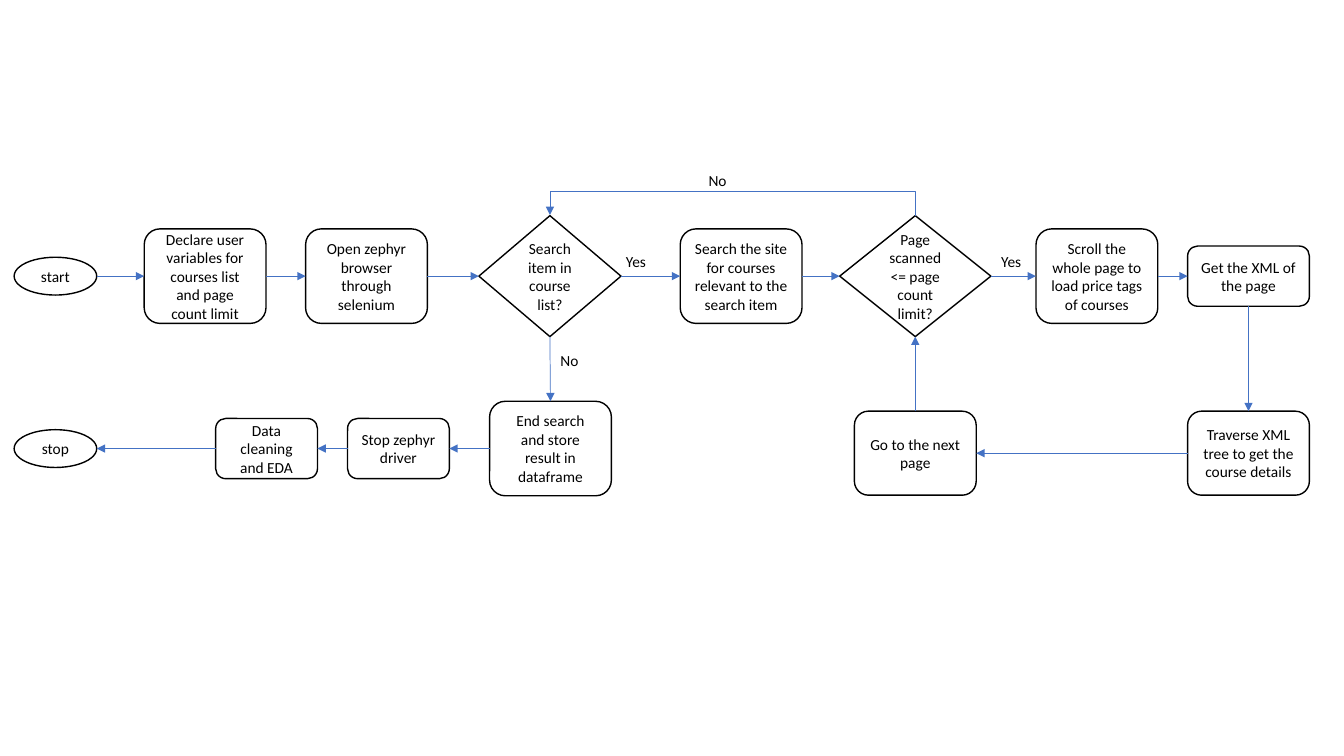
from dataclasses import dataclass

from lxml import etree
from pptx import Presentation
from pptx.dml.color import RGBColor
from pptx.enum.shapes import MSO_CONNECTOR, MSO_SHAPE
from pptx.enum.text import MSO_ANCHOR, MSO_AUTO_SIZE, PP_ALIGN
from pptx.oxml.ns import qn
from pptx.util import Pt

STRAIGHT, ELBOW = MSO_CONNECTOR.STRAIGHT, MSO_CONNECTOR.ELBOW
BOX, DIAMOND, OVAL = MSO_SHAPE.ROUNDED_RECTANGLE, MSO_SHAPE.DIAMOND, MSO_SHAPE.OVAL
MIDDLE, CENTER, LEFT_ALIGN = MSO_ANCHOR.MIDDLE, PP_ALIGN.CENTER, PP_ALIGN.LEFT
FIT_SHAPE = MSO_AUTO_SIZE.SHAPE_TO_FIT_TEXT
TOP, LEFT, BOTTOM, RIGHT = range(4)


@dataclass(frozen=True)
class Theme:
    """Colours, type and line widths of the flowchart."""
    ink: RGBColor = RGBColor(0, 0, 0)
    paper: RGBColor = RGBColor(255, 255, 255)
    arrow: RGBColor = RGBColor(0x44, 0x72, 0xC4)
    font: str = "Calibri"
    size: float = 11
    outline: float = 1
    arrow_width: float = 0.5


THEME = Theme()
TALL, MEDIUM, SMALL, END = (87, 67.5), (87, 60), (72.7, 43), (59, 27)
MAIN_Y, EXIT_Y, LOOP_Y = 197.25, 320.4, 323.7

NODES = {
    "start": (OVAL, 39.6, MAIN_Y, END, "start"),
    "declare": (BOX, 146.5, MAIN_Y, TALL,
                "Declare user variables for courses list and page count limit"),
    "open": (BOX, 261.8, MAIN_Y, TALL, "Open zephyr browser through selenium"),
    "more_items": (DIAMOND, 392.8, MAIN_Y, (101.5, 86.4), "Search item in course list?"),
    "search": (BOX, 529.4, MAIN_Y, TALL,
               "Search the site for courses relevant to the search item"),
    "more_pages": (DIAMOND, 653.8, MAIN_Y, (108, 86.4), "Page scanned <= page count limit?"),
    "scroll": (BOX, 783.5, MAIN_Y, TALL, "Scroll the whole page to load price tags of courses"),
    "get_xml": (BOX, 891.8, MAIN_Y, (87, 43), "Get the XML of the page"),
    "traverse": (BOX, 891.8, LOOP_Y, MEDIUM, "Traverse XML tree to get the course details"),
    "next_page": (BOX, 653.8, LOOP_Y, MEDIUM, "Go to the next page"),
    "store": (BOX, 393.2, EXIT_Y, TALL, "End search and store result in dataframe"),
    "stop_driver": (BOX, 284.6, EXIT_Y, SMALL, "Stop zephyr driver"),
    "clean": (BOX, 190.4, EXIT_Y, SMALL, "Data cleaning and EDA"),
    "stop": (OVAL, 39.6, EXIT_Y, END, "stop"),
}
PATHS = [
    (RIGHT, LEFT, ["start", "declare", "open", "more_items", "search",
                   "more_pages", "scroll", "get_xml"]),
    (BOTTOM, TOP, ["get_xml", "traverse"]),
    (LEFT, RIGHT, ["traverse", "next_page"]),
    (TOP, BOTTOM, ["next_page", "more_pages"]),
    (BOTTOM, TOP, ["more_items", "store"]),
    (LEFT, RIGHT, ["store", "stop_driver", "clean", "stop"]),
]
LABELS = [("Yes", 440, 176.4), ("Yes", 708, 176.4), ("No", 499, 118.5), ("No", 393.2, 247)]


def write(shape, text, align):
    """Put one paragraph of theme text in a shape."""
    tf = shape.text_frame
    tf.word_wrap = True
    p = tf.paragraphs[0]
    p.text, p.alignment = text, align
    p.font.name, p.font.size = THEME.font, Pt(THEME.size)
    p.font.color.rgb = THEME.ink
    return tf


def add_node(s, kind, cx, cy, size, text):
    """Add an outlined step centred on a point."""
    w, h = size
    sp = s.shapes.add_shape(kind, Pt(cx - w / 2), Pt(cy - h / 2), Pt(w), Pt(h))
    sp.shadow.inherit = False
    sp.fill.solid()
    sp.fill.fore_color.rgb = THEME.paper
    sp.line.color.rgb = THEME.ink
    sp.line.width = Pt(THEME.outline)
    write(sp, text, CENTER).vertical_anchor = MIDDLE
    return sp


def add_label(s, text, x, y):
    """Add a branch label."""
    box = s.shapes.add_textbox(Pt(x), Pt(y), Pt(36.7), Pt(20.6))
    write(box, text, LEFT_ALIGN).auto_size = FIT_SHAPE


def style_arrow(connector):
    """Give a connector the theme line, a triangle head and no shadow."""
    connector.line.color.rgb = THEME.arrow
    connector.line.width = Pt(THEME.arrow_width)
    spPr = connector._element.spPr
    etree.SubElement(spPr.find(qn("a:ln")), qn("a:tailEnd"), type="triangle")
    etree.SubElement(spPr, qn("a:effectLst"))


def site(sp, side):
    """Return the middle of one side of a shape."""
    cx, cy = sp.left + sp.width // 2, sp.top + sp.height // 2
    return {TOP: (cx, sp.top), LEFT: (sp.left, cy),
            BOTTOM: (cx, sp.top + sp.height), RIGHT: (sp.left + sp.width, cy)}[side]


def add_arrow(s, source, source_side, target, target_side):
    """Join two steps with a straight arrow, attached where sides are numbered."""
    c = s.shapes.add_connector(STRAIGHT, *site(source, source_side), *site(target, target_side))
    if source.auto_shape_type != OVAL:
        c.begin_connect(source, source_side)
    if target.auto_shape_type != OVAL:
        c.end_connect(target, target_side)
    style_arrow(c)


def add_return_arrow(s, source, target, rise):
    """Loop from the top of one step over to the top of another on its left."""
    (x1, y1), (x2, y2) = site(source, TOP), site(target, TOP)
    cx, cy, half_span, half_step = (x1 + x2) // 2, (y1 + y2) // 2, (x1 - x2) // 2, Pt(0.5)
    c = s.shapes.add_connector(ELBOW, cx - half_step, cy + half_span,
                               cx + half_step, cy - half_span)
    spPr = c._element.spPr
    spPr.find(qn("a:xfrm")).set("rot", str(270 * 60000))
    guides = spPr.find(qn("a:prstGeom")).get_or_add_avLst()
    etree.SubElement(guides, qn("a:gd"), name="adj1", fmla=f"val {rise * 100000}")
    style_arrow(c)


def main():
    """Build the course scraping flowchart."""
    prs = Presentation()
    prs.slide_width, prs.slide_height = Pt(960), Pt(540)
    s = prs.slides.add_slide(prs.slide_layouts[6])
    steps = {name: add_node(s, *node) for name, node in NODES.items()}
    for source_side, target_side, names in PATHS:
        for source, target in zip(names, names[1:]):
            add_arrow(s, steps[source], source_side, steps[target], target_side)
    add_return_arrow(s, steps["more_pages"], steps["more_items"], 18)
    for label in LABELS:
        add_label(s, *label)
    prs.save("out.pptx")


if __name__ == "__main__":
    main()
